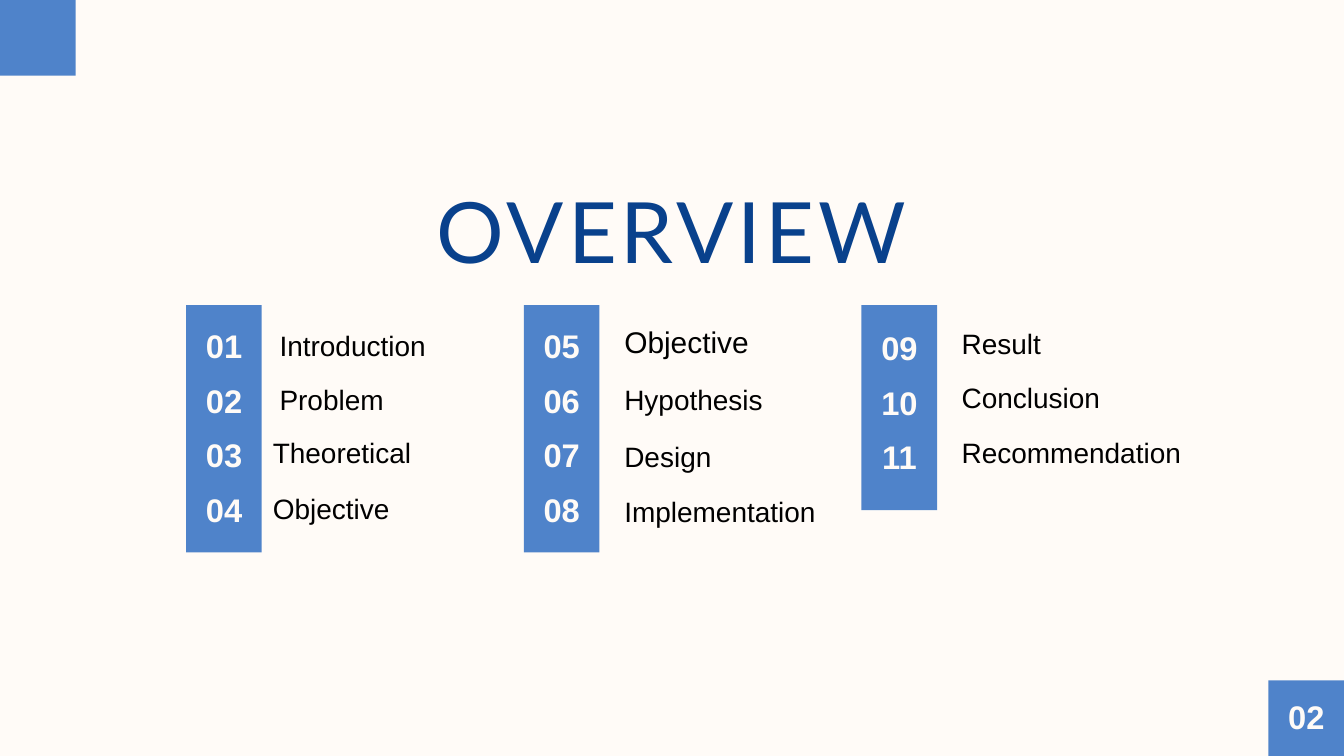
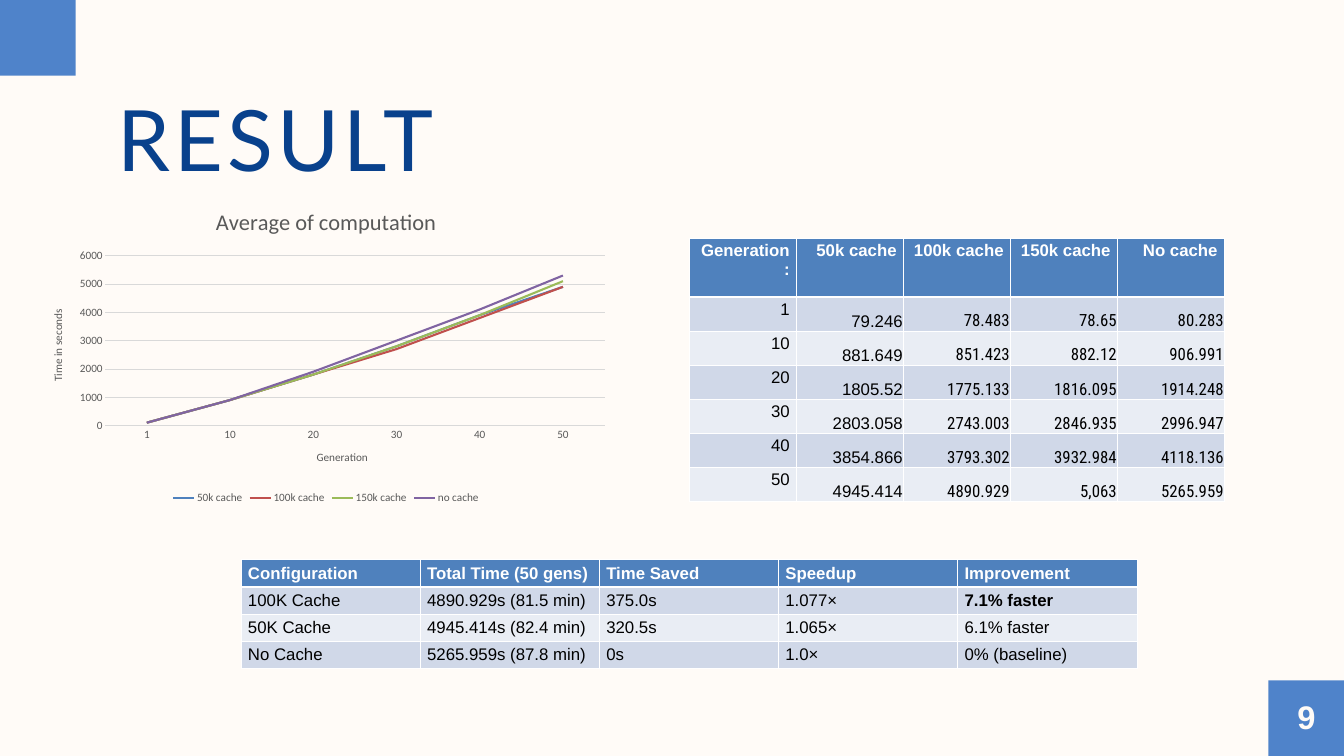
import pptx
import pptx.util
import pptx.dml.color
import pptx.chart.data
import pptx.enum.chart
import pptx.enum.shapes
import pptx.enum.text
import pptx.oxml
import pptx.oxml.ns

W, H = 20, 11.25
CREAM, NAVY, BLUE, BLACK, WHITE = "FFFBF7", "09418C", "155CBB", "000000", "FFFFFF"
HEADER, BANDS, GREY, RULE = "4F81BD", ("D0D8E8", "E9EDF4"), "595959", "D9D9D9"
SANS, DISPLAY, CONDENSED, CHART_FONT = "Arial", "Lato", "Roboto Condensed", "Calibri"
BAND = 1.125  # side of the corner squares, width of the number bars
ALIGN = pptx.enum.text.PP_ALIGN
ANCHOR = pptx.enum.text.MSO_ANCHOR

# Overview: bar height, top of the first number, then (label, left, top, size)
BAR_LEFT, BAR_TOP, COLUMN_STEP, ROW_STEP = 2.77, 4.54, 5.025, 0.81
OVERVIEW = [
    (3.68, 4.95, [("Introduction", 4.16, 4.97, 30), ("Problem", 4.16, 5.78, 30),
                  ("Theoretical", 4.06, 6.57, 30), ("Objective", 4.06, 7.4, 30)]),
    (3.68, 4.95, [("Objective", 9.29, 4.9, 32), ("Hypothesis", 9.29, 5.77, 30),
                  ("Design", 9.29, 6.63, 30), ("Implementation", 9.29, 7.44, 30)]),
    (3.05, 4.98, [("Result", 14.31, 4.94, 30), ("Conclusion", 14.31, 5.75, 30),
                  ("Recommendation", 14.31, 6.56, 30)]),
]

TIMES = [
    ("Generation:", "50k cache", "100k cache", "150k cache", "No cache"),
    ("1", "79.246", "78.483", "78.65", "80.283"),
    ("10", "881.649", "851.423", "882.12", "906.991"),
    ("20", "1805.52", "1775.133", "1816.095", "1914.248"),
    ("30", "2803.058", "2743.003", "2846.935", "2996.947"),
    ("40", "3854.866", "3793.302", "3932.984", "4118.136"),
    ("50", "4945.414", "4890.929", "5,063", "5265.959"),
]
SUMMARY = [
    ("Configuration", "Total Time (50 gens)", "Time Saved", "Speedup", "Improvement"),
    ("100K Cache", "4890.929s (81.5 min)", "375.0s", "1.077×", "7.1% faster"),
    ("50K Cache", "4945.414s (82.4 min)", "320.5s", "1.065×", "6.1% faster"),
    ("No Cache", "5265.959s (87.8 min)", "0s", "1.0×", "0% (baseline)"),
]
BEST = "7.1% faster"
SERIES = [("50k cache", "4F81BD"), ("100k cache", "C0504D"),
          ("150k cache", "9BBB59"), ("no cache", "8064A2")]


def rgb(value):
    return pptx.dml.color.RGBColor.from_string(value)


def inches(*values):
    return [pptx.util.Inches(v) for v in values]


def style(font, color, **values):
    font.color.rgb = rgb(color)
    for name, value in values.items():
        setattr(font, name, pptx.util.Pt(value) if name == "size" else value)


def add_xml(parent, xml):
    parent.append(pptx.oxml.parse_xml(xml.replace(" ", f" {pptx.oxml.ns.nsdecls('a', 'c')} ", 1)))


def text(s, words, box, size, color=BLACK, align=ALIGN.LEFT, name=SANS, bold=False, spacing=None):
    tf = s.shapes.add_textbox(*inches(*box)).text_frame
    tf.word_wrap = True
    tf.margin_left = tf.margin_top = tf.margin_right = tf.margin_bottom = 0
    p = tf.paragraphs[0]
    p.alignment, p.line_spacing = align, pptx.util.Pt(size)
    r = p.add_run()
    r.text = words
    style(r.font, color, size=size, name=name, bold=bold)
    if spacing:
        r.font._element.set("spc", str(spacing))


def block(s, *box):
    sp = s.shapes.add_shape(pptx.enum.shapes.MSO_SHAPE.RECTANGLE, *inches(*box))
    sp.shadow.inherit = False
    sp.line.fill.background()
    sp.fill.solid()
    sp.fill.fore_color.rgb = rgb(BLUE)
    add_xml(sp.fill._xPr.find(".//" + pptx.oxml.ns.qn("a:srgbClr")), '<a:alpha val="75000"/>')


def number(s, words, left, top):
    text(s, words, (left + 0.1, top, 0.93, 0.5), 35, CREAM, ALIGN.CENTER, bold=True)


def add_slide(prs, title, title_box, align, page):
    s = prs.slides.add_slide(prs.slide_layouts[6])
    s.background.fill.solid()
    s.background.fill.fore_color.rgb = rgb(CREAM)
    text(s, title, title_box, 90.6, NAVY, align, DISPLAY, spacing=450)
    block(s, 0, 0, BAND, BAND)
    block(s, W - BAND, H - BAND, BAND, BAND)
    number(s, page, W - BAND, 10.47)
    return s


def borders(cell, bottom):
    """White cell edges; they must stand before the fill."""
    for side, width in (("L", 1), ("R", 1), ("T", 1), ("B", bottom)):
        add_xml(cell._tc.get_or_add_tcPr(),
                f'<a:ln{side} w="{width * 12700}"><a:solidFill><a:srgbClr val="{WHITE}"/>'
                f'</a:solidFill></a:ln{side}>')


def add_table(s, rows, box, row_heights, format_cell):
    table = s.shapes.add_table(len(rows), len(rows[0]), *inches(*box)).table
    for column in table.columns:
        column.width = pptx.util.Inches(box[2] / len(rows[0]))
    for i, row in enumerate(rows):
        table.rows[i].height = pptx.util.Inches(row_heights[i])
        for j, words in enumerate(row):
            cell = table.cell(i, j)
            borders(cell, 1 if i else 3)
            cell.fill.solid()
            cell.fill.fore_color.rgb = rgb(BANDS[(i - 1) % 2] if i else HEADER)
            p = cell.text_frame.paragraphs[0]
            r = p.add_run()
            r.text = words
            style(r.font, BLACK if i else WHITE, size=18, name=SANS, bold=not i or words == BEST)
            format_cell(cell, p, r, i, j)


def format_time(cell, p, r, i, j):
    p.alignment = ALIGN.RIGHT
    if i and j:
        cell.vertical_anchor = ANCHOR.BOTTOM
        cell.margin_left = cell.margin_right = cell.margin_top = pptx.util.Inches(0.01)
        cell.margin_bottom = 0
        r.font.name = SANS if j == 1 else CONDENSED


def format_summary(cell, p, r, i, j):
    cell.vertical_anchor = ANCHOR.MIDDLE


def chart_title(owner, words, size):
    tf = (owner.chart_title if hasattr(owner, "chart_title") else owner.axis_title).text_frame
    tf.text = words
    style(tf.paragraphs[0].runs[0].font, GREY, size=size, name=CHART_FONT, bold=False)


def add_time_chart(s, box):
    data = pptx.chart.data.CategoryChartData()
    data.categories = [row[0] for row in TIMES[1:]]
    for j, (name, _) in enumerate(SERIES, 1):
        data.add_series(name, [round(float(row[j].replace(",", "")), -2) for row in TIMES[1:]])
    chart = s.shapes.add_chart(pptx.enum.chart.XL_CHART_TYPE.LINE, *inches(*box), data).chart
    style(chart.font, GREY, size=12, name=CHART_FONT)
    chart_title(chart, "Average of computation", 24)
    chart.has_legend = True
    chart.legend.position = pptx.enum.chart.XL_LEGEND_POSITION.BOTTOM
    chart.legend.include_in_layout = False
    style(chart.legend.font, GREY, size=12, name=CHART_FONT)
    plot = chart.plots[0]
    plot.vary_by_categories = False
    for series, (_, color) in zip(plot.series, SERIES):
        series.smooth = False
        series.marker.style = pptx.enum.chart.XL_MARKER_STYLE.NONE
        series.format.line.color.rgb = rgb(color)
        series.format.line.width = pptx.util.Pt(2.25)
    across, up = chart.category_axis, chart.value_axis
    for axis, words in ((across, "Generation"), (up, "Time in seconds")):
        chart_title(axis, words, 12)
        axis.major_tick_mark = axis.minor_tick_mark = pptx.enum.chart.XL_TICK_MARK.NONE
        style(axis.tick_labels.font, GREY, size=12, name=CHART_FONT)
    up.minimum_scale, up.maximum_scale, up.major_unit = 0, 6000, 1000
    up.tick_labels.number_format, up.tick_labels.number_format_is_linked = "0", False
    up.format.line.fill.background()
    for line in (across.format.line, up.major_gridlines.format.line):
        line.color.rgb = rgb(RULE)
        line.width = pptx.util.Pt(0.75)
    area = chart._chartSpace.chart.plotArea
    for old in area.findall(pptx.oxml.ns.qn("c:layout")):
        area.remove(old)
    place = {"x": 0.12, "y": 0.2, "w": 0.86, "h": 0.54}
    add_xml(area, '<c:layout ><c:manualLayout><c:layoutTarget val="inner"/>'
            '<c:xMode val="edge"/><c:yMode val="edge"/>'
            + "".join(f'<c:{k} val="{v}"/>' for k, v in place.items())
            + '</c:manualLayout></c:layout>')
    area.insert(0, area[-1])


def build_overview(prs):
    s = add_slide(prs, "OVERVIEW", (5.35, 2.92, 9.29, 1.31), ALIGN.CENTER, "02")
    count = 0
    for column, (height, first, items) in enumerate(OVERVIEW):
        left = BAR_LEFT + column * COLUMN_STEP
        block(s, left, BAR_TOP, BAND, height)
        for row, (label, x, y, size) in enumerate(items):
            count += 1
            number(s, f"{count:02}", left, first + row * ROW_STEP)
            text(s, label, (x, y, 4.13, 0.44), size)


def build_result(prs):
    s = add_slide(prs, "RESULT", (1.75, 1.55, 12.79, 1.31), ALIGN.LEFT, "9")
    add_time_chart(s, (0.53, 2.87, 8.64, 4.68))
    add_table(s, TIMES, (10.26, 3.54, 7.96, 3.92), [0.88] + [0.507] * 6, format_time)
    add_table(s, SUMMARY, (3.59, 8.33, 13.33, 1.62), [0.405] * 4, format_summary)


def main():
    prs = pptx.Presentation()
    prs.slide_width, prs.slide_height = inches(W, H)
    build_overview(prs)
    build_result(prs)
    prs.save("out.pptx")


if __name__ == "__main__":
    main()
